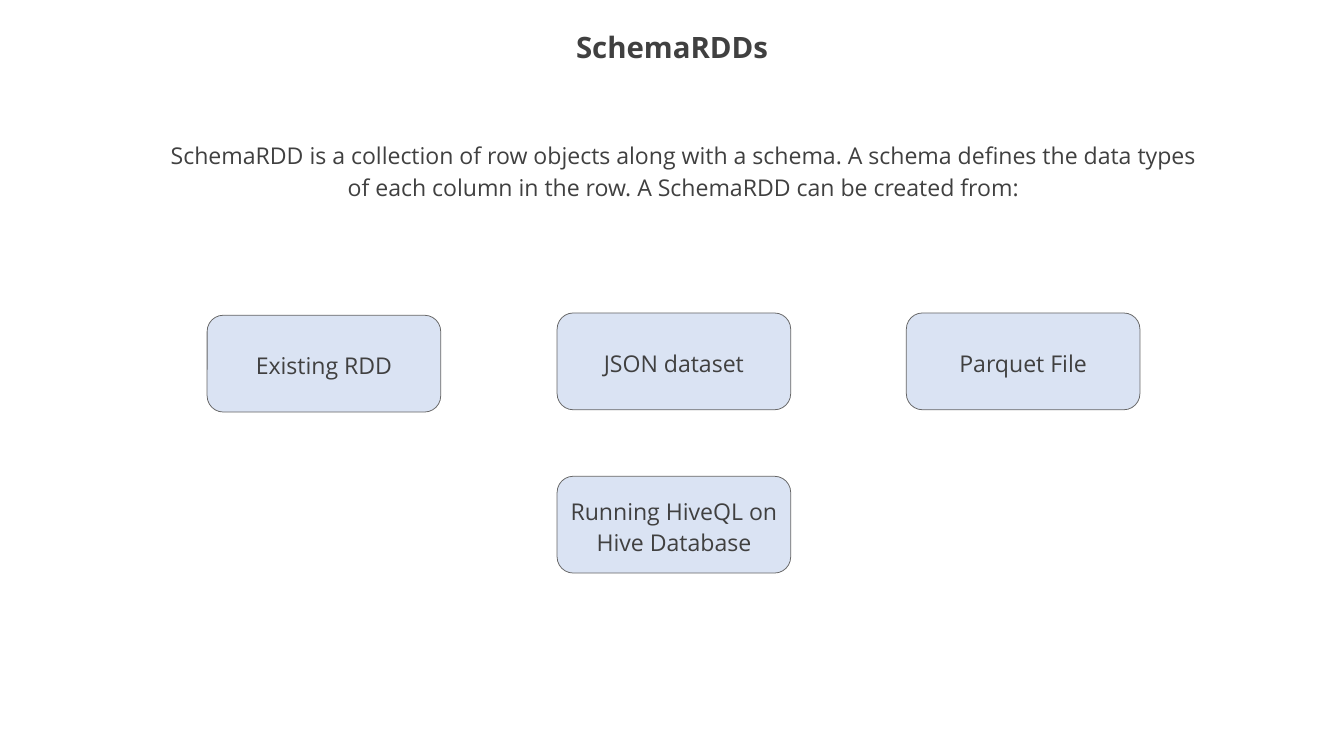
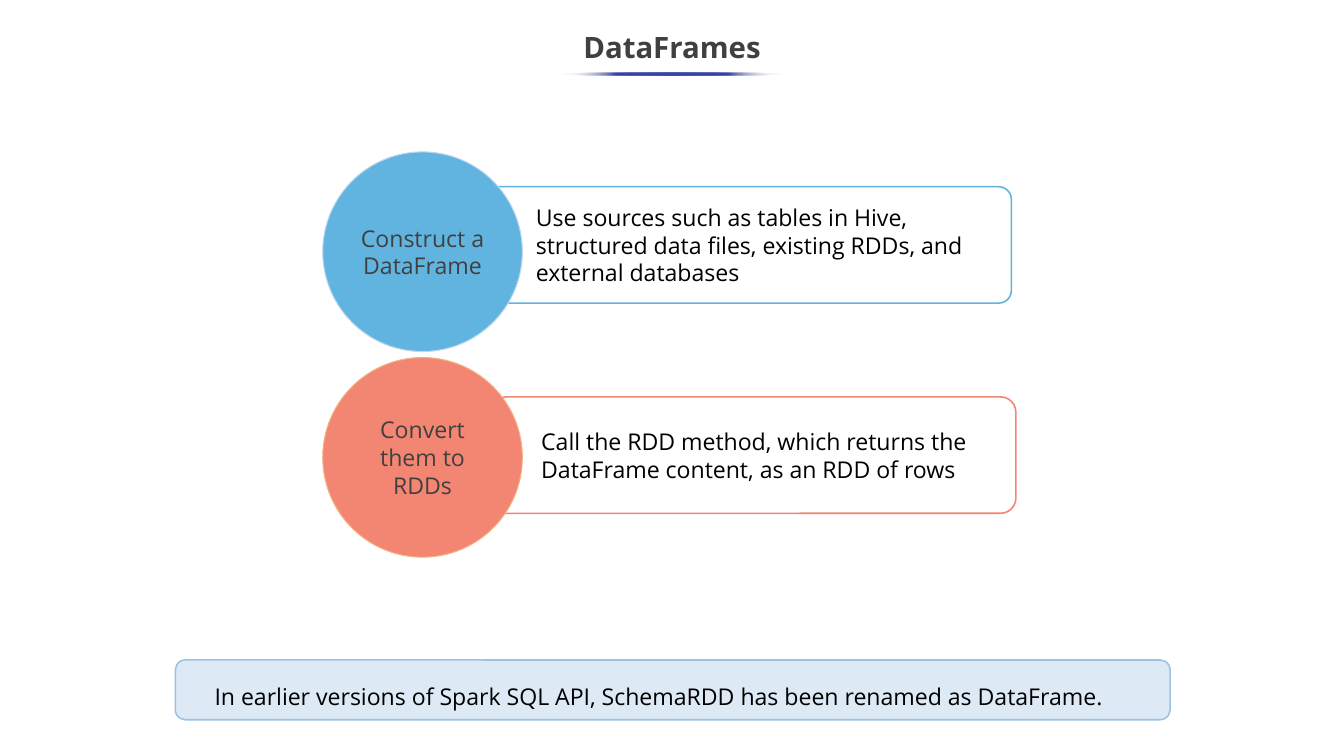
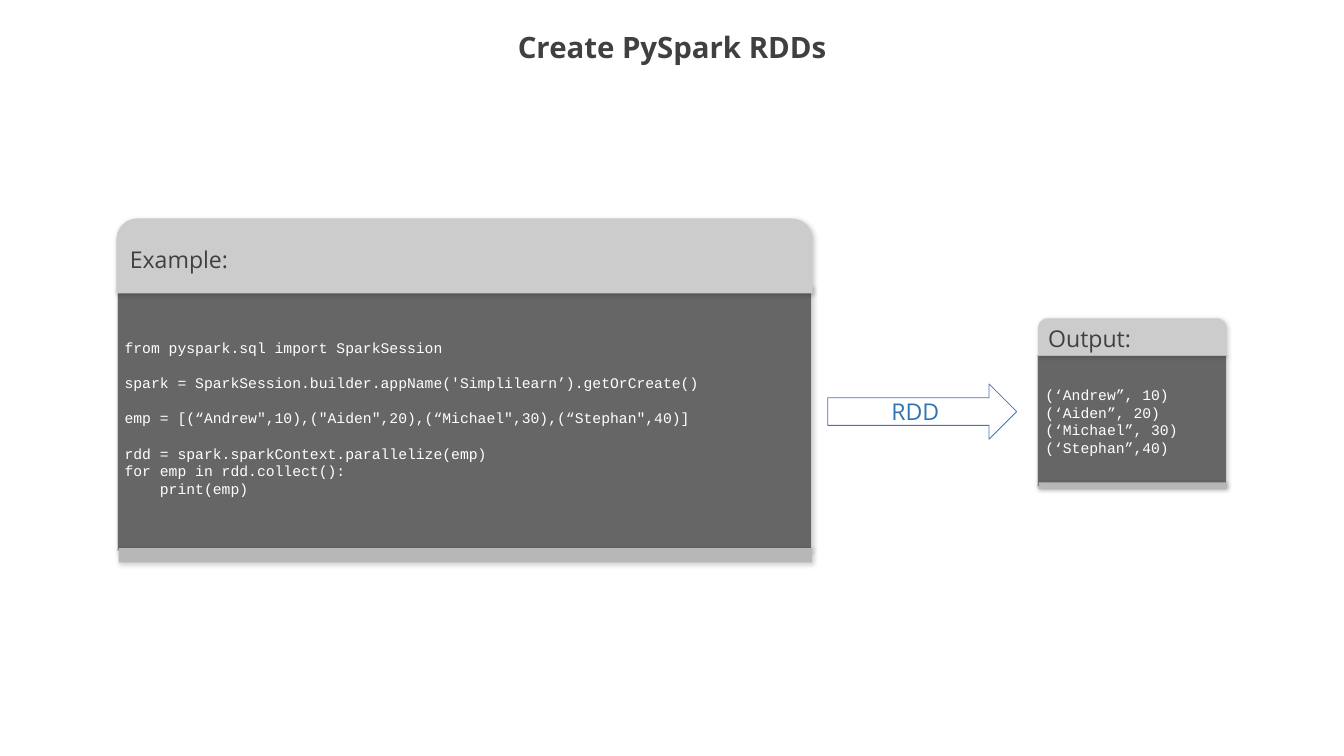
from lxml import etree
from pptx import Presentation
from pptx.dml.color import RGBColor
from pptx.enum.shapes import MSO_SHAPE
from pptx.enum.text import MSO_ANCHOR, PP_ALIGN
from pptx.oxml import parse_xml
from pptx.oxml.ns import nsdecls, qn
from pptx.util import Inches, Pt

RECT, ROUND = MSO_SHAPE.RECTANGLE, MSO_SHAPE.ROUNDED_RECTANGLE
TAB, OVAL, ARROW = MSO_SHAPE.ROUND_2_SAME_RECTANGLE, MSO_SHAPE.OVAL, MSO_SHAPE.RIGHT_ARROW
LEFT, CENTER = PP_ALIGN.LEFT, PP_ALIGN.CENTER
MIDDLE = MSO_ANCHOR.MIDDLE

BLACK = RGBColor(0x00, 0x00, 0x00)
WHITE = RGBColor(0xFF, 0xFF, 0xFF)
INK = RGBColor(0x40, 0x40, 0x40)
GRAY = RGBColor(0x66, 0x66, 0x66)
MID_GRAY = RGBColor(0xB7, 0xB7, 0xB7)
LIGHT_GRAY = RGBColor(0xCC, 0xCC, 0xCC)
PALE_BLUE = RGBColor(0xDA, 0xE3, 0xF3)
NOTE_FILL = RGBColor(0xDD, 0xEA, 0xF6)
NOTE_LINE = RGBColor(0x9C, 0xC2, 0xE5)
SKY = RGBColor(0x61, 0xB4, 0xDF)
SKY_LINE = RGBColor(0xBB, 0xD6, 0xEE)
CORAL = RGBColor(0xF3, 0x85, 0x73)
CORAL_LINE = RGBColor(0xF4, 0xB0, 0x81)
ARROW_LINE = RGBColor(0x44, 0x72, 0xC4)
ARROW_TEXT = RGBColor(0x2E, 0x75, 0xB5)

SANS, MONO = "Open Sans", "Courier New"
CODE_GAP = Pt(16.8)


def add_page(title):
    page = deck.slides.add_slide(deck.slide_layouts[6])
    box = page.shapes.add_textbox(Inches(0), Inches(0.27), deck.slide_width, Inches(0.75))
    box.text_frame.word_wrap = True
    box.text_frame.vertical_anchor = MIDDLE
    para = box.text_frame.paragraphs[0]
    para.text = title
    para.alignment, para.line_spacing = CENTER, 0.9
    para.font.name, para.font.size, para.font.bold = SANS, Pt(28), True
    para.font.color.rgb = INK
    return page


def add_box(page, kind, place, fill=None, line=None, width=0.75, text="", color=INK, font=SANS,
            size=22, align=CENTER, spacing=None, round_by=None, shadow=False):
    """Add a shape with one paragraph per line of text; an empty line becomes space before the next."""
    box = page.shapes.add_shape(kind, *[Inches(length) for length in place])
    if round_by is not None:
        box.adjustments[0] = round_by
    if fill is None:
        box.fill.background()
    else:
        box.fill.solid()
        box.fill.fore_color.rgb = fill
    if line is None:
        box.line.fill.background()
    else:
        box.line.color.rgb = line
        box.line.width = Pt(width)
    box.shadow.inherit = False
    if shadow:
        effects = box._element.spPr.find(qn("a:effectLst"))
        effects.append(parse_xml(
            f'<a:outerShdw {nsdecls("a")} blurRad="57150" dist="19050" dir="2820000" rotWithShape="0">'
            '<a:srgbClr val="000000"><a:alpha val="20000"/></a:srgbClr></a:outerShdw>'))
    frame = box.text_frame
    frame.word_wrap = True
    frame.vertical_anchor = MIDDLE
    para, gap = None, False
    for words in text.splitlines():
        if not words:
            gap = True
            continue
        para = frame.add_paragraph() if para else frame.paragraphs[0]
        para.text = words
        para.alignment = align
        if spacing:
            para.line_spacing = spacing
        if gap:
            para.space_before = CODE_GAP
        para.font.name, para.font.size = font, Pt(size)
        para.font.color.rgb = color
        gap = False
    return box


deck = Presentation()
deck.slide_width, deck.slide_height = Inches(17.78), Inches(10)

# SchemaRDDs
page = add_page("SchemaRDDs")
intro = add_box(page, ROUND, (2.05, 1.81, 13.98, 1.28), WHITE, spacing=1.15, text=(
    "SchemaRDD is a collection of row objects along with a schema. A schema defines the data "
    "types of each column in the row. A SchemaRDD can be created from:"))
intro.text_frame.margin_bottom = Inches(0.47)
for left, top, source in [
    (7.37, 6.3, "Running HiveQL on Hive Database"),
    (7.37, 4.14, "JSON dataset"),
    (11.99, 4.14, "Parquet File"),
    (2.74, 4.17, "Existing RDD"),
]:
    add_box(page, ROUND, (left, top, 3.09, 1.28), PALE_BLUE, GRAY, text=source, spacing=1.15)

# DataFrames
page = add_page("DataFrames")
note = add_box(page, ROUND, (2.32, 8.73, 13.16, 0.79), NOTE_FILL, NOTE_LINE, 1.5, color=BLACK,
               align=LEFT, spacing=1.5,
               text="In earlier versions of Spark SQL API, SchemaRDD has been renamed as DataFrame.")
note.text_frame.margin_left = Inches(0.48)
for circle_top, left, top, rounding, fill, edge, step, detail in [
    (2.01, 6.44, 2.47, 0.109, SKY, SKY_LINE, "Construct a DataFrame",
     "Use sources such as tables in Hive, structured data files, existing RDDs, and external databases"),
    (4.73, 6.5, 5.25, 0.132, CORAL, CORAL_LINE, "Convert them to RDDs",
     "Call the RDD method, which returns the DataFrame content, as an RDD of rows"),
]:
    panel = add_box(page, ROUND, (left, top, 6.94, 1.54), WHITE, fill, 1.5, detail, BLACK,
                    align=LEFT, round_by=rounding)
    panel.text_frame.margin_left = Inches(0.6)
    add_box(page, OVAL, (4.27, circle_top, 2.64, 2.64), fill, edge, 1, step)

underline = add_box(page, OVAL, (7.42, 0.96, 2.94, 0.04))
underline.fill.gradient()
underline.fill.gradient_angle = 180
stops = underline._element.spPr.find(qn("a:gradFill")).find(qn("a:gsLst"))
stops.clear()
for percent, tone, alpha in [(0, "FFFFFF", 0), (25, "3645A9", 100), (50, "3645A9", 100),
                             (75, "3645A9", 100), (100, "FFFFFF", 0)]:
    stop = etree.SubElement(stops, qn("a:gs"), pos=str(percent * 1000))
    shade = etree.SubElement(stop, qn("a:srgbClr"), val=tone)
    etree.SubElement(shade, qn("a:alpha"), val=str(alpha * 1000))

# Create PySpark RDDs
page = add_page("Create PySpark RDDs")
EXAMPLE = """from pyspark.sql import SparkSession

spark = SparkSession.builder.appName('Simplilearn’).getOrCreate()

emp = [(“Andrew",10),("Aiden",20),(“Michael",30),(“Stephan",40)]

rdd = spark.sparkContext.parallelize(emp)
for emp in rdd.collect():
    print(emp)"""
OUTPUT = """(‘Andrew”, 10)
(‘Aiden”, 20)
(‘Michael”, 30)
(‘Stephan”,40)"""
for heading, code, body, header, footer in [
    ("Example:", EXAMPLE, (1.55, 3.78, 9.18, 3.5), (1.54, 2.89, 9.21, 0.99), (1.57, 7.25, 9.17, 0.19)),
    ("Output:", OUTPUT, (13.73, 4.7, 2.5, 1.74), (13.73, 4.21, 2.5, 0.49), (13.74, 6.38, 2.49, 0.09)),
]:
    add_box(page, RECT, body, GRAY, LIGHT_GRAY, text=code, color=WHITE, font=MONO, size=14,
            align=LEFT, shadow=True)
    add_box(page, TAB, header, LIGHT_GRAY, text=heading, align=LEFT, round_by=0.275, shadow=True)
    add_box(page, RECT, footer, MID_GRAY, shadow=True)
add_box(page, ARROW, (10.95, 5.08, 2.5, 0.73), None, ARROW_LINE, text="RDD", color=ARROW_TEXT)

deck.save("out.pptx")
